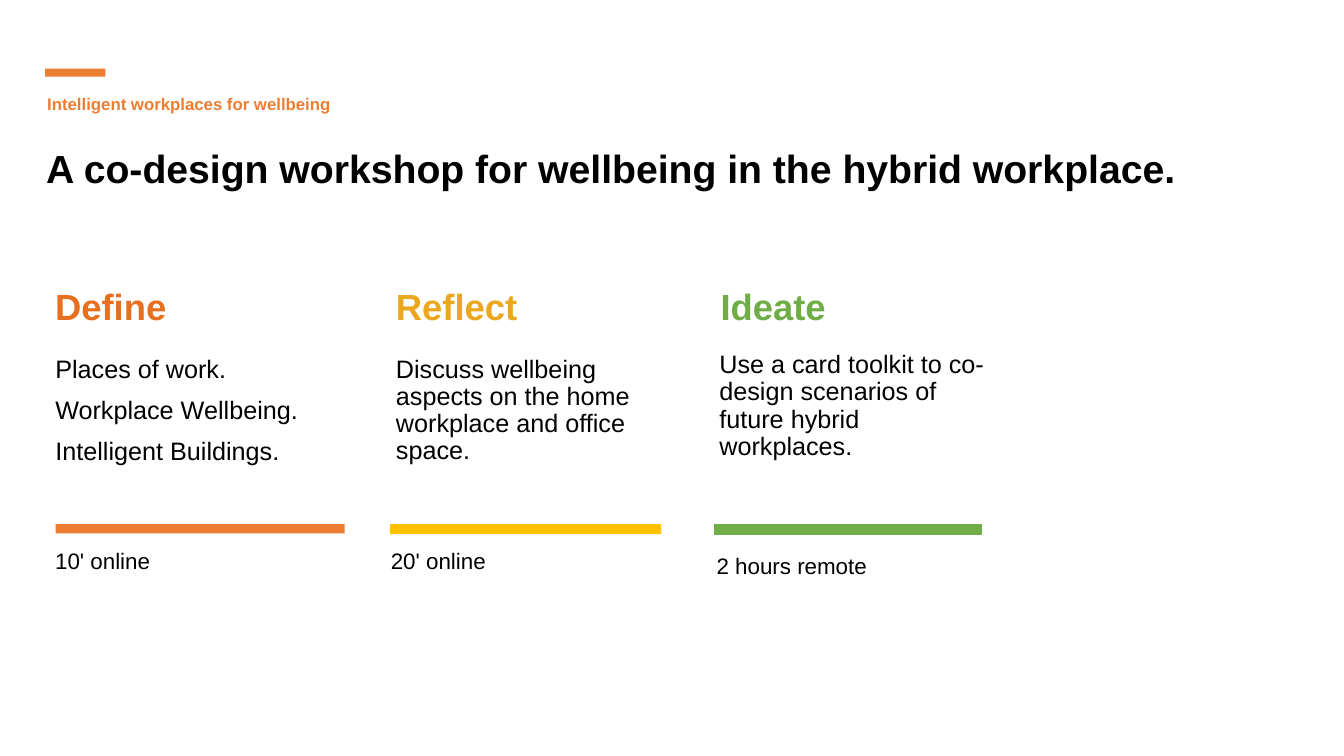
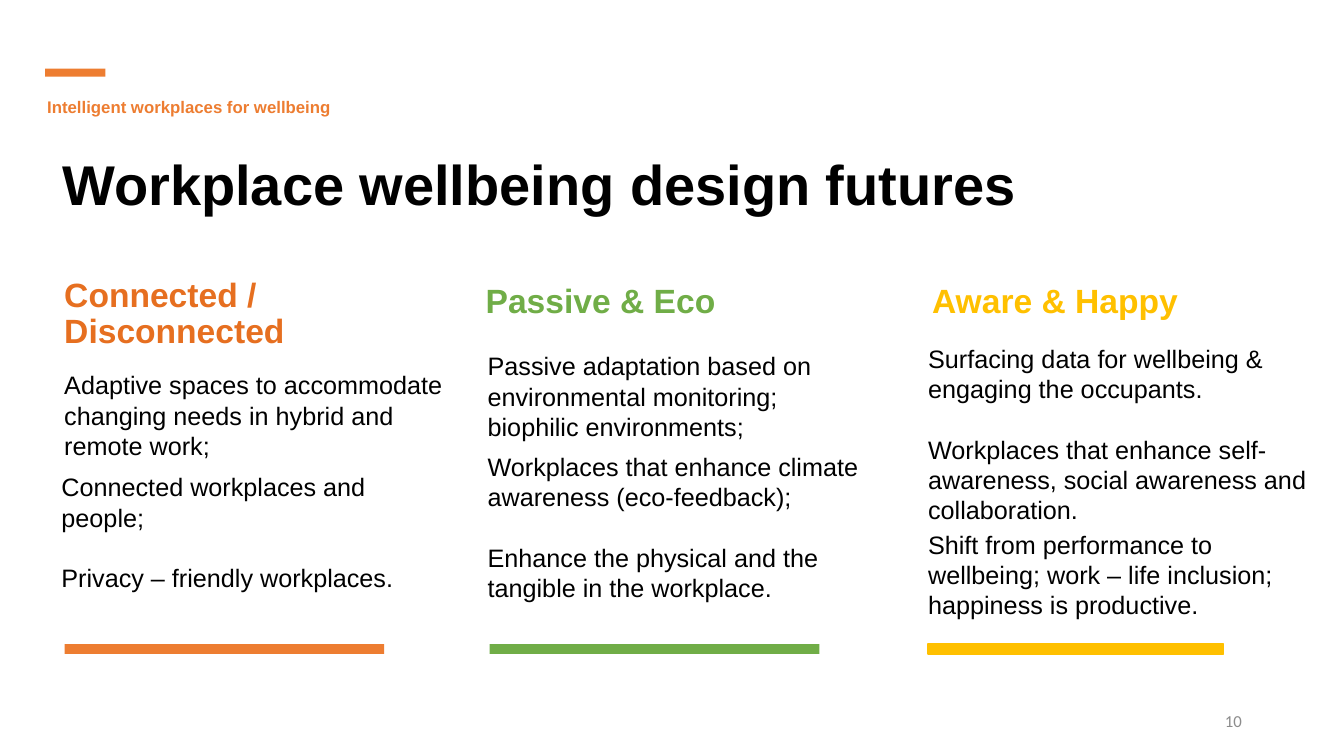
"""Build two slides on co-designing workplaces for wellbeing."""
from lxml.etree import SubElement
from pptx import Presentation
from pptx.dml.color import RGBColor
from pptx.enum.shapes import MSO_SHAPE as Shape
from pptx.enum.text import MSO_ANCHOR as Anchor, MSO_AUTO_SIZE as AutoSize, PP_ALIGN as Align
from pptx.oxml.ns import qn
from pptx.util import Cm, Pt

BLACK = RGBColor(0x00, 0x00, 0x00)
GRAY = RGBColor(0x8C, 0x8C, 0x8C)
ORANGE = RGBColor(0xED, 0x7D, 0x31)
DARK_ORANGE = RGBColor(0xE6, 0x6F, 0x20)
AMBER = RGBColor(0xEB, 0xA7, 0x1E)
YELLOW = RGBColor(0xFF, 0xC0, 0x00)
GREEN = RGBColor(0x70, 0xAD, 0x47)


def add_text(page, lines, place, box=None, size=18, color=BLACK, bold=False, font="Arial",
             anchor=Anchor.TOP, align=Align.LEFT, spacing=1.0, gap=0):
    """Write one paragraph per line in a new text box or a given placeholder."""
    left, top, width, height = [Cm(length) for length in place]
    if box is None:
        box = page.shapes.add_textbox(left, top, width, height)
    box.left, box.top, box.width, box.height = left, top, width, height
    frame = box.text_frame
    frame.word_wrap = True
    frame.auto_size = AutoSize.NONE
    frame.vertical_anchor = anchor
    for index, line in enumerate(lines):
        para = frame.add_paragraph() if index else frame.paragraphs[0]
        para.alignment = align
        para.line_spacing = spacing
        para.space_before = Pt(gap if index else 0)
        span = para.add_run()
        span.text = line
        span.font.name = font
        span.font.size = Pt(size)
        span.font.bold = bold
        span.font.color.rgb = color
    return box


def add_bar(page, place, color, outlined=False):
    """Draw a flat coloured bar."""
    bar = page.shapes.add_shape(Shape.RECTANGLE, *[Cm(length) for length in place])
    bar.shadow.inherit = False
    bar.fill.solid()
    bar.fill.fore_color.rgb = color
    if outlined:
        bar.line.color.rgb = color
        bar.line.width = Pt(1)
    else:
        bar.line.fill.background()


deck = Presentation()
deck.slide_width, deck.slide_height = Cm(33.87), Cm(19.05)

openings = [
    ("Title and Content", "A co-design workshop for wellbeing in the hybrid workplace.",
     (0.91, -1.35, 32.44, 6.32), 28, 2.24),
    ("Title Only", "Workplace wellbeing design futures", (1.32, 0.28, 29.18, 5.33), 40, 2.31),
]
pages = []
for layout_name, title, place, size, eyebrow_top in openings:
    page = deck.slides.add_slide(deck.slide_layouts.get_by_name(layout_name))
    add_text(page, [title], place, box=page.shapes.title, size=size, bold=True,
             anchor=Anchor.BOTTOM, spacing=0.9)
    add_bar(page, (1.14, 1.73, 1.52, 0.2), ORANGE)
    add_text(page, ["Intelligent workplaces for wellbeing"], (0.94, eyebrow_top, 16.94, 0.76),
             size=12, color=ORANGE, bold=True)
    pages.append(page)
workshop, futures = pages

phases = [
    ("Define", DARK_ORANGE, 1.14, ["Places of work.", "Workplace Wellbeing.", "Intelligent Buildings."],
     (1.14, 8.86, 8.1, 4.72), "10' online", (1.14, 13.74, 3.89, 1.14),
     (1.4, 13.21, 7.29, 0.23), ORANGE, False),
    ("Reflect", AMBER, 9.73, ["Discuss wellbeing aspects on the home workplace and office space."],
     (9.73, 8.86, 7.52, 3.45), "20' online", (9.6, 13.74, 3.89, 1.14),
     (9.83, 13.21, 6.83, 0.25), YELLOW, False),
    ("Ideate", GREEN, 17.91, ["Use a card toolkit to co-design scenarios of future hybrid workplaces."],
     (17.88, 8.74, 7.32, 3.43), "2 hours remote", (17.81, 13.87, 6.96, 3.71),
     (18.01, 13.21, 6.71, 0.25), GREEN, True),
]
for index, phase in enumerate(phases):
    (heading, heading_color, left, lines, place, duration, duration_place,
     bar_place, bar_color, outlined) = phase
    add_text(workshop, [heading], (left, 7.14, 5.51, 1.24), size=26, color=heading_color,
             bold=True, anchor=Anchor.BOTTOM, spacing=0.8)
    body = add_text(workshop, lines, place, box=None if index else workshop.placeholders[1],
                    spacing=0.9, gap=10)
    if body.is_placeholder:
        for para in body.text_frame.paragraphs:
            properties = para._p.get_or_add_pPr()
            properties.set("marL", "0")
            properties.set("indent", "0")
            SubElement(properties, qn("a:buNone"))
    add_bar(workshop, bar_place, bar_color, outlined)
    add_text(workshop, [duration], duration_place, size=16, spacing=0.9)

themes = [
    ("Connected / Disconnected", DARK_ORANGE, (1.37, 7.72, 9.25, 1.24),
     [((1.37, 9.19, 10.13, 2.57), 0,
       ["Adaptive spaces to accommodate changing needs in hybrid and remote work;"]),
      ((1.3, 11.76, 8.92, 3.33), 21.5,
       ["Connected workplaces and people;", "Privacy – friendly workplaces."])],
     (1.63, 8.05), ORANGE, False),
    ("Passive & Eco", GREEN, (11.99, 6.96, 9.91, 1.24),
     [((12.04, 8.71, 9.98, 2.57), 0,
       ["Passive adaptation based on environmental monitoring;", "biophilic environments;"]),
      ((12.04, 11.25, 9.98, 4.88), 21.5,
       ["Workplaces that enhance climate awareness (eco-feedback);",
        "Enhance the physical and the tangible in the workplace."])],
     (12.34, 8.31), GREEN, False),
    ("Aware & Happy", YELLOW, (23.24, 6.96, 8.64, 1.24),
     [((23.14, 8.53, 10.6, 4.7), 21.5,
       ["Surfacing data for wellbeing & engaging the occupants.",
        "Workplaces that enhance self-awareness, social awareness and collaboration."]),
      ((23.14, 13.21, 10.01, 2.57), 0,
       ["Shift from performance to wellbeing; work – life inclusion; happiness is productive."])],
     (23.39, 7.44), YELLOW, True),
]
for heading, heading_color, heading_place, notes, (left, width), bar_color, outlined in themes:
    add_text(futures, [heading], heading_place, size=24, color=heading_color, bold=True,
             anchor=Anchor.BOTTOM, spacing=0.9)
    for place, gap, lines in notes:
        add_text(futures, lines, place, gap=gap)
    add_bar(futures, (left, 16.23, width, 0.25), bar_color, outlined)
add_text(futures, ["10"], (23.93, 17.65, 7.62, 1.02), size=12, color=GRAY, font="Calibri",
         anchor=Anchor.MIDDLE, align=Align.RIGHT)

deck.save("out.pptx")
